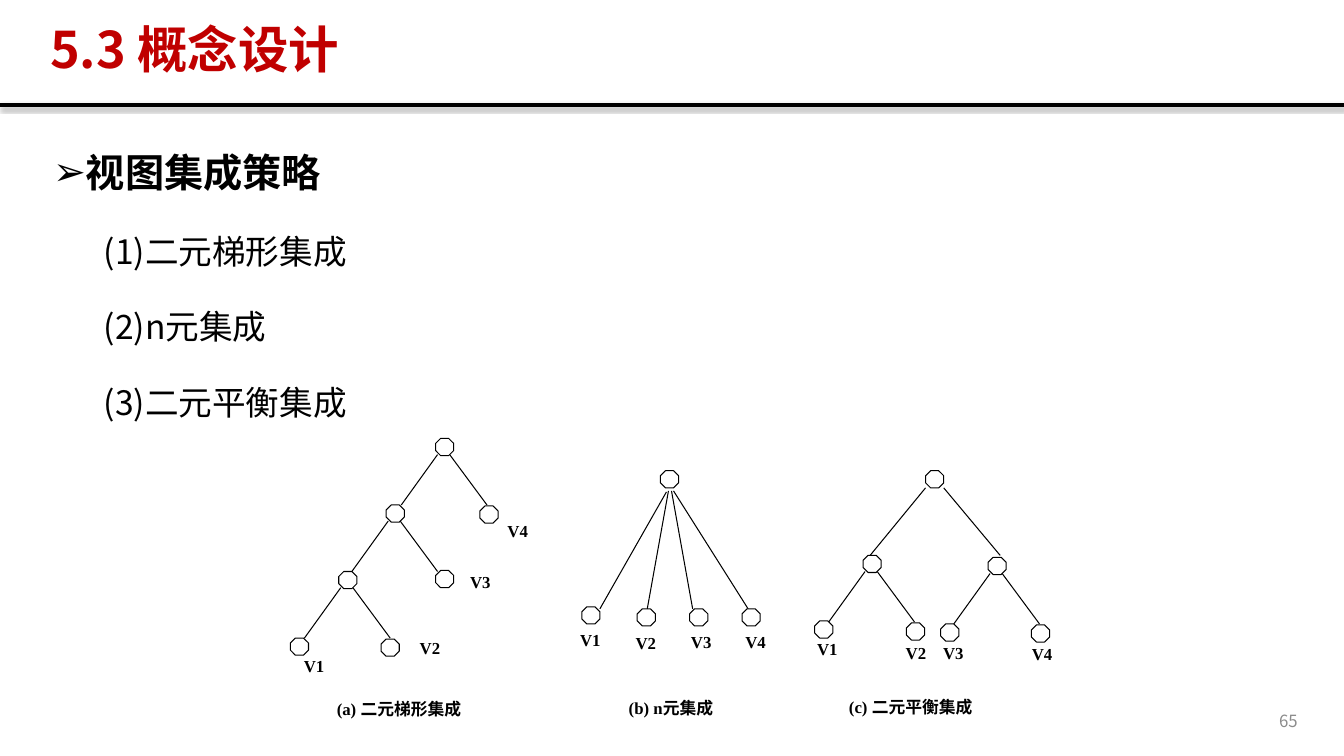
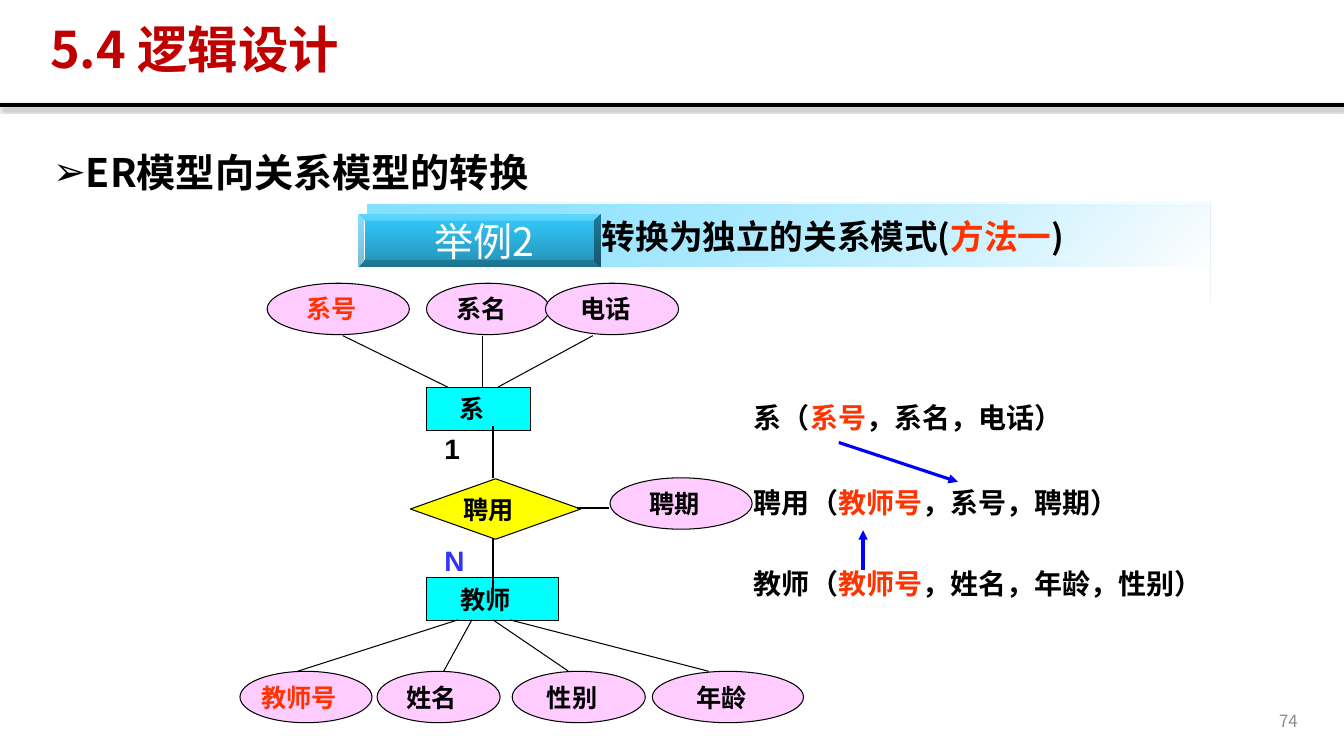
from lxml.etree import SubElement
from pptx import Presentation
from pptx.dml.color import RGBColor
from pptx.enum.shapes import MSO_CONNECTOR, MSO_SHAPE
from pptx.enum.text import MSO_ANCHOR, PP_ALIGN
from pptx.oxml.ns import qn
from pptx.util import Inches, Pt

SANS = "Noto Sans CJK SC"
SERIF = "Times New Roman"
COLORS = {
    "black": "000000", "white": "FFFFFF", "title": "C00000", "grey": "8C8C8C",
    "key": "FF3300", "cyan": "00FFFF", "yellow": "FFFF00", "pink": "FFCCFF",
    "many": "3333FF", "arrow": "0000FF", "sky": "33CCFF", "teal": "2491B6",
    "edge_top": "66D3FA", "edge_right": "5C9DB3",
}


def rgb(name):
    return RGBColor.from_string(COLORS[name])


def add(parent, tag, **attrs):
    return SubElement(parent, qn(tag), attrs)


def style_run(r, size, color="black", bold=True, font=SANS):
    r.font.size = Pt(size)
    r.font.bold = bold
    r.font.name = font
    r.font.color.rgb = rgb(color)
    add(r._r.get_or_add_rPr(), "a:ea", typeface=SANS)


def write(p, runs, size, bold=True, font=SANS):
    for text, color in runs:
        r = p.add_run()
        r.text = text
        style_run(r, size, color, bold, font)


def set_frame(tf, anchor=MSO_ANCHOR.TOP, wrap=True, insets=(0.1, 0.05, 0.1, 0.05)):
    tf.word_wrap = wrap
    tf.vertical_anchor = anchor
    tf.margin_left, tf.margin_top, tf.margin_right, tf.margin_bottom = map(Inches, insets)


def add_text(s, x, y, w, h, runs, size, align=PP_ALIGN.LEFT, bold=True, font=SANS, **frame):
    tf = s.shapes.add_textbox(Inches(x), Inches(y), Inches(w), Inches(h)).text_frame
    set_frame(tf, **frame)
    p = tf.paragraphs[0]
    p.alignment = align
    write(p, runs, size, bold, font)
    return p


def add_line(s, x1, y1, x2, y2, color="black", width=0.75, arrow=False):
    line = s.shapes.add_connector(
        MSO_CONNECTOR.STRAIGHT, Inches(x1), Inches(y1), Inches(x2), Inches(y2))
    line.line.color.rgb = rgb(color)
    line.line.width = Pt(width)
    if arrow:
        add(line.line._get_or_add_ln(), "a:tailEnd", type="triangle")
    return add(line._element.spPr, "a:effectLst")


def add_box(s, kind, x, y, w, h, fill):
    sp = s.shapes.add_shape(kind, Inches(x), Inches(y), Inches(w), Inches(h))
    sp.shadow.inherit = False
    sp.fill.solid()
    sp.fill.fore_color.rgb = rgb(fill)
    sp.line.color.rgb = rgb("black")
    sp.line.width = Pt(0.75)
    return sp


def label_box(sp, runs, size, align=PP_ALIGN.CENTER, bold=True, left=0.1, right=0.1):
    set_frame(sp.text_frame, MSO_ANCHOR.MIDDLE, False, (left, 0.05, right, 0.05))
    p = sp.text_frame.paragraphs[0]
    p.alignment = align
    write(p, runs, size, bold)


def set_gradient(sp, stops, angle):
    sp.fill.gradient()
    sp.fill.gradient_angle = 360 - angle
    for stop, (color, opacity) in zip(sp.fill.gradient_stops, stops):
        stop.color.rgb = rgb(color)
        if opacity < 100:
            add(stop.color._xFill[0], "a:alpha", val=str(opacity * 1000))


def add_edge(s, points, color):
    builder = s.shapes.build_freeform(*points[0], scale=Inches(1))
    builder.add_line_segments(points[1:])
    sp = builder.convert_to_shape()
    sp.shadow.inherit = False
    sp.fill.solid()
    sp.fill.fore_color.rgb = rgb(color)
    sp.line.fill.background()


def add_body(s, heading, items):
    p = add_text(s, 0.43, 1.33, 12.53, 5.42, [(heading, "black")], 28)
    p.line_spacing = 1.2
    pPr = p._p.get_or_add_pPr()
    pPr.set("marL", str(Inches(0.25)))
    pPr.set("indent", str(-Inches(0.25)))
    add(pPr, "a:buFont", typeface="Arial")
    add(pPr, "a:buChar", char="➢")
    for item in items:
        p = p._parent.add_paragraph()
        p.level = 1
        p.line_spacing = 1.7
        p.space_before = Pt(5)
        pPr = p._p.get_or_add_pPr()
        pPr.set("marL", str(Inches(0.75)))
        pPr.set("indent", str(-Inches(0.25)))
        add(pPr, "a:buNone")
        write(p, [(item, "black")], 24, bold=False)


def add_page(prs, title, number, heading, items=()):
    s = prs.slides.add_slide(prs.slide_layouts[6])
    effects = add_line(s, 0, 1.04, 13.33, 1.04, width=3)
    shadow = add(effects, "a:outerShdw", blurRad=str(Pt(3.1)), dist=str(Pt(1.8)),
                 dir="5400000", rotWithShape="0")
    add(add(shadow, "a:srgbClr", val=COLORS["black"]), "a:alpha", val="35000")
    add_body(s, heading, items)
    add_text(s, 9.97, 6.95, 3, 0.4, [(str(number), "grey")], 12, PP_ALIGN.RIGHT,
             bold=False, anchor=MSO_ANCHOR.MIDDLE)
    p = add_text(s, 0.4, 0.19, 11.7, 0.65, [(title, "title")], 36, anchor=MSO_ANCHOR.MIDDLE)
    p.line_spacing = 0.9
    return s


def add_fork(s, x, y):
    add_line(s, x - 0.07, y + 0.08, x - 0.43, y + 0.58)
    add_line(s, x + 0.05, y + 0.08, x + 0.42, y + 0.58)


def add_tree(s, nodes, forks, edges, labels, caption):
    for x, y in forks:
        add_fork(s, x, y)
    for edge in edges:
        add_line(s, *edge)
    for x, y in forks + nodes:
        add_box(s, MSO_SHAPE.OCTAGON, x - 0.09, y - 0.08, 0.18, 0.17, "white")
    for i, (x, y) in enumerate(labels, 1):
        add_text(s, x, y, 0.37, 0.33, [(f"V{i}", "black")], 12, PP_ALIGN.CENTER,
                 font=SERIF, insets=(0, 0, 0, 0))
    text, x, y, align = caption
    add_text(s, x, y, 1.65, 0.33, [(text, "black")], 12, align,
             font=SERIF, insets=(0, 0, 0, 0))


def add_strategies(prs):
    s = add_page(prs, "5.3 概念设计", 65, "视图集成策略",
                 ["(1)二元梯形集成", "(2)n元集成", "(3)二元平衡集成"])
    add_tree(
        s,
        nodes=[(2.97, 6.41), (3.87, 6.42), (4.41, 5.74), (4.85, 5.1)],
        forks=[(4.41, 4.43), (3.92, 5.09), (3.45, 5.75)],
        edges=[],
        labels=[(2.93, 6.51), (4.08, 6.33), (4.58, 5.67), (4.95, 5.17)],
        caption=("(a) 二元梯形集成", 3.34, 6.93, PP_ALIGN.LEFT))
    add_tree(
        s,
        nodes=[(6.64, 4.75), (5.86, 6.1), (6.41, 6.12), (6.93, 6.12), (7.45, 6.12)],
        forks=[],
        edges=[(6.61, 4.88, 5.95, 6.04), (6.63, 4.87, 6.42, 6.04),
               (6.66, 4.87, 6.87, 6.04), (6.68, 4.87, 7.42, 6.04)],
        labels=[(5.67, 6.25), (6.22, 6.28), (6.77, 6.27), (7.31, 6.27)],
        caption=("(b) n元集成", 5.83, 6.92, PP_ALIGN.CENTER))
    add_tree(
        s,
        nodes=[(9.27, 4.75), (8.17, 6.24), (9.08, 6.26), (9.42, 6.27), (10.32, 6.28)],
        forks=[(8.65, 5.59), (9.89, 5.61)],
        edges=[(9.18, 4.84, 8.63, 5.51), (9.36, 4.84, 9.92, 5.51)],
        labels=[(8.02, 6.34), (8.9, 6.38), (9.27, 6.38), (10.15, 6.39)],
        caption=("(c) 二元平衡集成", 8.42, 6.91, PP_ALIGN.LEFT))


def add_er_box(s, kind, text, x, y, w, h, fill, color="black"):
    label_box(add_box(s, kind, x, y, w, h, fill), [(text, color)], 18, right=0.23)


def add_banner(s):
    left, top, right, bottom, depth = 3.65, 2.03, 12.01, 2.65, 0.04
    band = add_box(s, MSO_SHAPE.RECTANGLE, left, top, right - left, bottom - top, "white")
    band.line.fill.background()
    set_gradient(band, [("sky", 60), ("white", 90)], 45)
    label_box(band, [("转换为独立的关系模式(", "black"), ("方法一", "key"), (")", "black")],
              24, PP_ALIGN.LEFT, left=2.32)
    add_edge(s, [(left, top), (left + depth, top - depth),
                 (right + depth, top - depth), (right, top)], "edge_top")
    add_edge(s, [(right, top), (right + depth, top - depth),
                 (right + depth, bottom - depth), (right, bottom)], "edge_right")
    add_line(s, 3.36, bottom, 12.1, bottom, "white")
    tag = add_box(s, MSO_SHAPE.BEVEL, 3.55, 2.12, 2.41, 0.53, "sky")
    tag.line.fill.background()
    set_gradient(tag, [("sky", 100), ("teal", 100)], 90)
    label_box(tag, [("举例2", "white")], 28, bold=False, left=0.2)


def add_conversion(prs):
    s = add_page(prs, "5.4 逻辑设计", 74, "ER模型向关系模型的转换")
    add_er_box(s, MSO_SHAPE.RECTANGLE, "系", 4.23, 3.84, 1.03, 0.43, "cyan")
    add_er_box(s, MSO_SHAPE.RECTANGLE, "教师", 4.23, 5.73, 1.31, 0.43, "cyan")
    add_er_box(s, MSO_SHAPE.DIAMOND, "聘用", 4.07, 4.75, 1.69, 0.6, "yellow")
    attributes = [
        ("系号", 2.65, 2.81, 1.41, "key"), ("系名", 4.23, 2.81, 1.22, "black"),
        ("电话", 5.41, 2.81, 1.32, "black"), ("聘期", 6.05, 4.74, 1.41, "black"),
        ("教师号", 2.38, 6.66, 1.31, "key"), ("姓名", 3.74, 6.66, 1.22, "black"),
        ("性别", 5.08, 6.66, 1.32, "black"), ("年龄", 6.47, 6.66, 1.5, "black"),
    ]
    for text, x, y, w, color in attributes:
        add_er_box(s, MSO_SHAPE.OVAL, text, x, y, w, 0.51, "pink", color)
    for x1, x2 in [(3.4, 4.44), (4.79, 4.79), (5.88, 4.94)]:
        add_line(s, x1, 3.33, x2, 3.84)
    for x1, x2 in [(4.54, 2.95), (4.68, 4.4), (4.89, 5.64), (5.06, 7.03)]:
        add_line(s, x1, 6.15, x2, 6.66)
    for y in (4.23, 5.34):
        add_line(s, 4.89, y, 4.89, y + 0.51)
    add_line(s, 5.72, 5.04, 6.04, 5.04)
    for text, y, color in [("1", 4.23, "black"), ("N", 5.34, "many")]:
        add_text(s, 4.31, y, 0.45, 0.43, [(text, color)], 20, font="Arial")
    relations = [
        (3.92, "系（", "系号", "，系名，电话）"),
        (4.77, "聘用（", "教师号", "，系号，聘期）"),
        (5.57, "教师（", "教师号", "，姓名，年龄，性别）"),
    ]
    for y, name, key, rest in relations:
        add_text(s, 7.38, y, 4.73, 0.43,
                 [(name, "black"), (key, "key"), (rest, "black")], 20)
    add_banner(s)
    add_line(s, 8.32, 4.39, 9.5, 4.78, "arrow", 2.25, arrow=True)
    add_line(s, 8.56, 5.65, 8.56, 5.26, "arrow", 2.25, arrow=True)


def main():
    prs = Presentation()
    prs.slide_width = Inches(13.33)
    prs.slide_height = Inches(7.5)
    add_strategies(prs)
    add_conversion(prs)
    prs.save("out.pptx")


if __name__ == "__main__":
    main()
